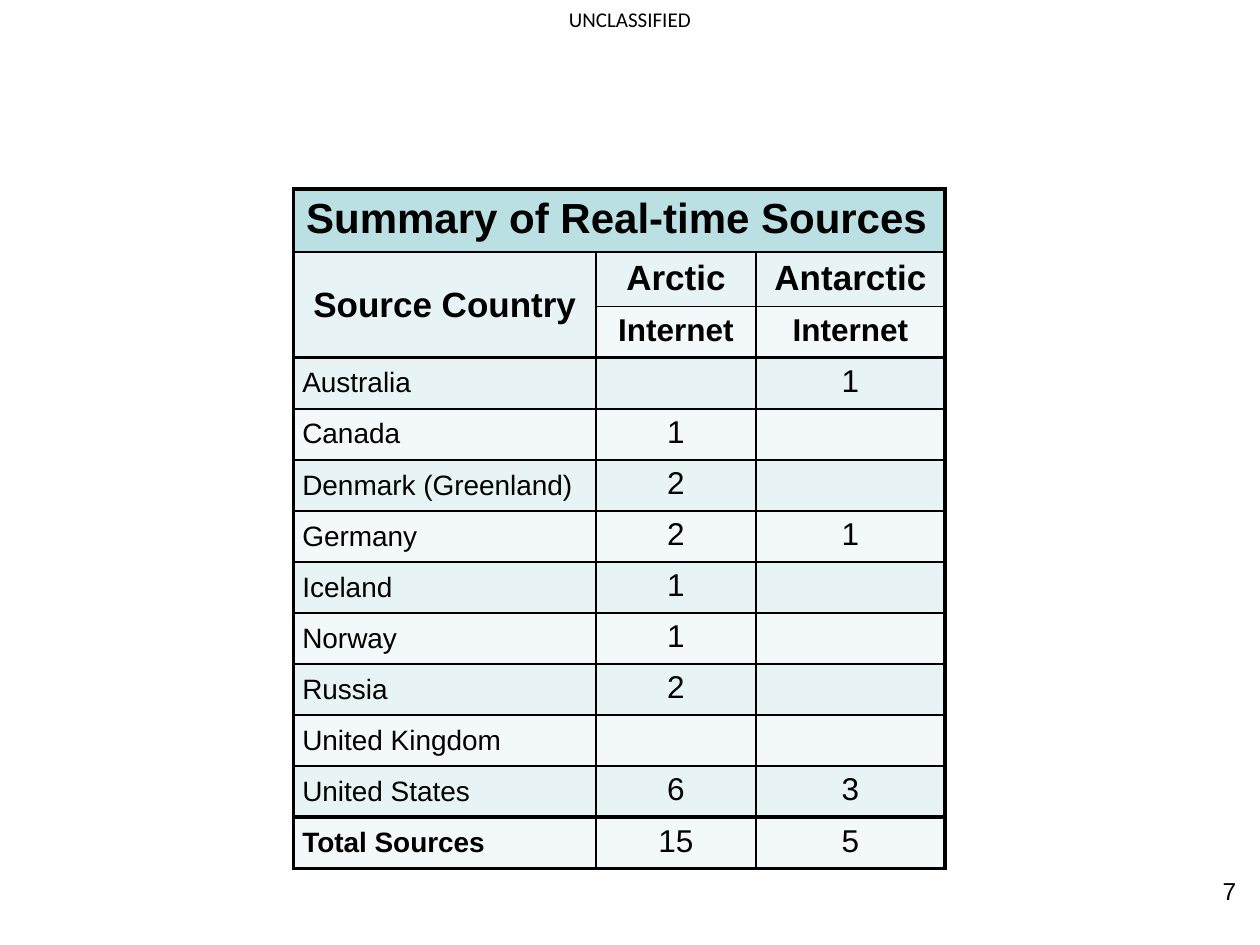
from dataclasses import dataclass

from lxml.etree import SubElement
from pptx import Presentation
from pptx.dml.color import RGBColor
from pptx.enum.text import MSO_ANCHOR as Anchor, PP_ALIGN as Align
from pptx.oxml.ns import qn
from pptx.util import Inches, Pt

HEADINGS = {
    (0, 0): ("Summary of Real-time Sources", 24),
    (1, 0): ("Source Country", 20),
    (1, 1): ("Arctic", 20),
    (1, 2): ("Antarctic", 20),
    (2, 1): ("Internet", 18),
    (2, 2): ("Internet", 18),
}
COUNTRIES = [
    ("Australia", "", "1"),
    ("Canada", "1", ""),
    ("Denmark (Greenland)", "2", ""),
    ("Germany", "2", "1"),
    ("Iceland", "1", ""),
    ("Norway", "1", ""),
    ("Russia", "2", ""),
    ("United Kingdom", "", ""),
    ("United States", "6", "3"),
    ("Total Sources", "15", "5"),
]
COLUMN_WIDTHS = [2.4, 1.27, 1.5]
TABLE_HEIGHT = 5.39
HEADING_HEIGHTS = [0.5, 0.43]
FIRST_COUNTRY = 3
ROW_COUNT = FIRST_COUNTRY + len(COUNTRIES)
TOTAL_ROW = ROW_COUNT - 1
HEAVY_ROW_EDGES = {0, FIRST_COUNTRY, TOTAL_ROW, ROW_COUNT}
HEAVY_COLUMN_EDGES = {0, len(COLUMN_WIDTHS)}


def colour(value):
    return RGBColor.from_string(value)


@dataclass
class SlideBuilder:
    slide: object
    font_name: str = "Arial"
    ink: str = "000000"
    title_fill: str = "BBE0E3"
    band_fills: tuple = ("F3F9FA", "E7F3F4")
    thin: float = 1
    heavy: float = 2.25

    def add_words(self, frame, text, size, align, **formats):
        para = frame.paragraphs[0]
        para.alignment = align
        span = para.add_run()
        span.text = text
        values = {"name": self.font_name, "size": Pt(size), "bold": False} | formats
        for name, value in values.items():
            setattr(span.font, name, value)
        span.font.color.rgb = colour(self.ink)

    def text(self, text, left, top, width, height, size, align, **formats):
        box = self.slide.shapes.add_textbox(
            Inches(left), Inches(top), Inches(width), Inches(height)
        )
        box.text_frame.word_wrap = True
        self.add_words(box.text_frame, text, size, align, **formats)

    def borders(self, cell, row, column):
        bottom = row + (cell.span_height if cell.is_merge_origin else 1)
        right = column + (cell.span_width if cell.is_merge_origin else 1)
        edges = {
            "L": column in HEAVY_COLUMN_EDGES,
            "R": right in HEAVY_COLUMN_EDGES,
            "T": row in HEAVY_ROW_EDGES,
            "B": bottom in HEAVY_ROW_EDGES,
        }
        properties = cell._tc.get_or_add_tcPr()
        for index, (side, is_heavy) in enumerate(edges.items()):
            line = SubElement(properties, qn(f"a:ln{side}"))
            line.set("w", str(Pt(self.heavy if is_heavy else self.thin)))
            fill = SubElement(line, qn("a:solidFill"))
            SubElement(fill, qn("a:srgbClr")).set("val", self.ink)
            properties.insert(index, line)

    def heading(self, cell, row, column):
        text, size = HEADINGS[row, column]
        align = Align.CENTER if row else Align.LEFT
        self.add_words(cell.text_frame, text, size, align, bold=True)
        if cell.is_merge_origin and row:
            cell.vertical_anchor = Anchor.MIDDLE

    def country(self, cell, row, column):
        text = COUNTRIES[row - FIRST_COUNTRY][column]
        if column == 0:
            layout = {
                "vertical_anchor": Anchor.MIDDLE,
                "margin_left": Inches(0.07),
                "margin_right": Inches(0.07),
                "margin_top": 0,
                "margin_bottom": 0,
            }
            for name, value in layout.items():
                setattr(cell, name, value)
            self.add_words(cell.text_frame, text, 16, Align.LEFT, bold=row == TOTAL_ROW)
        elif text:
            self.add_words(cell.text_frame, text, 18, Align.CENTER)

    def table(self, left, top):
        table = self.slide.shapes.add_table(
            ROW_COUNT, len(COLUMN_WIDTHS), Inches(left), Inches(top),
            Inches(sum(COLUMN_WIDTHS)), Inches(TABLE_HEIGHT),
        ).table
        table.first_row = table.horz_banding = False
        for column, width in zip(table.columns, COLUMN_WIDTHS):
            column.width = Inches(width)
        plain_count = ROW_COUNT - len(HEADING_HEIGHTS)
        plain_height = (TABLE_HEIGHT - sum(HEADING_HEIGHTS)) / plain_count
        for row, height in zip(table.rows, HEADING_HEIGHTS + [plain_height] * plain_count):
            row.height = Inches(height)
        table.cell(0, 0).merge(table.cell(0, 2))
        table.cell(1, 0).merge(table.cell(2, 0))
        for row in range(ROW_COUNT):
            for column in range(len(COLUMN_WIDTHS)):
                cell = table.cell(row, column)
                if cell.is_spanned:
                    continue
                cell.fill.solid()
                fill = self.band_fills[row % 2] if row else self.title_fill
                cell.fill.fore_color.rgb = colour(fill)
                self.borders(cell, row, column)
                fill_cell = self.heading if row < FIRST_COUNTRY else self.country
                fill_cell(cell, row, column)


def main():
    deck = Presentation()
    deck.slide_width, deck.slide_height = Inches(10), Inches(7.5)
    page = SlideBuilder(deck.slides.add_slide(deck.slide_layouts[6]))
    page.text("7", 7.58, 6.9, 2.33, 0.52, 14, Align.RIGHT)
    page.text("UNCLASSIFIED", 0, 0, 10, 0.3, 12, Align.CENTER, name="Calibri")
    page.table(2.33, 1.5)
    deck.save("out.pptx")


if __name__ == "__main__":
    main()
